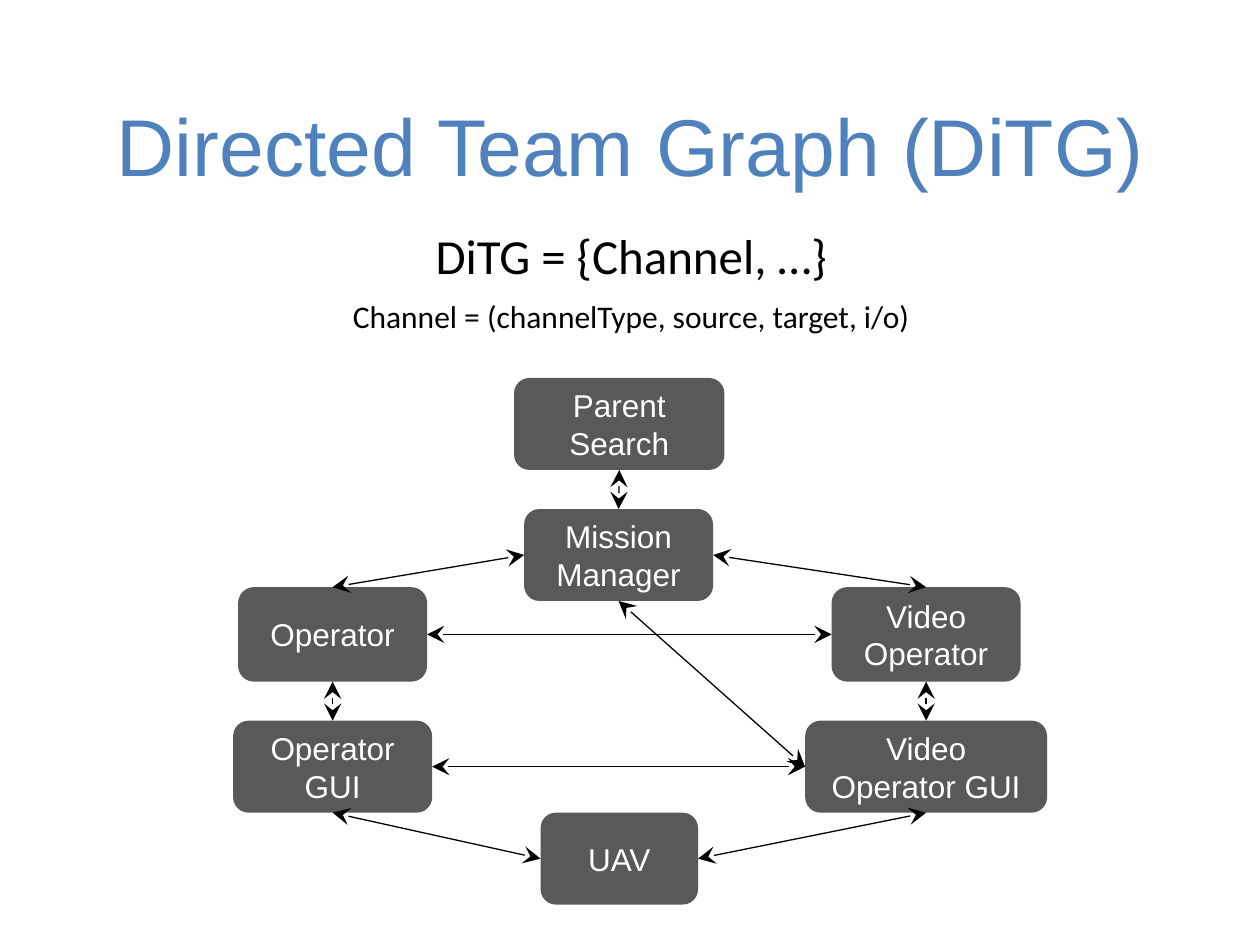
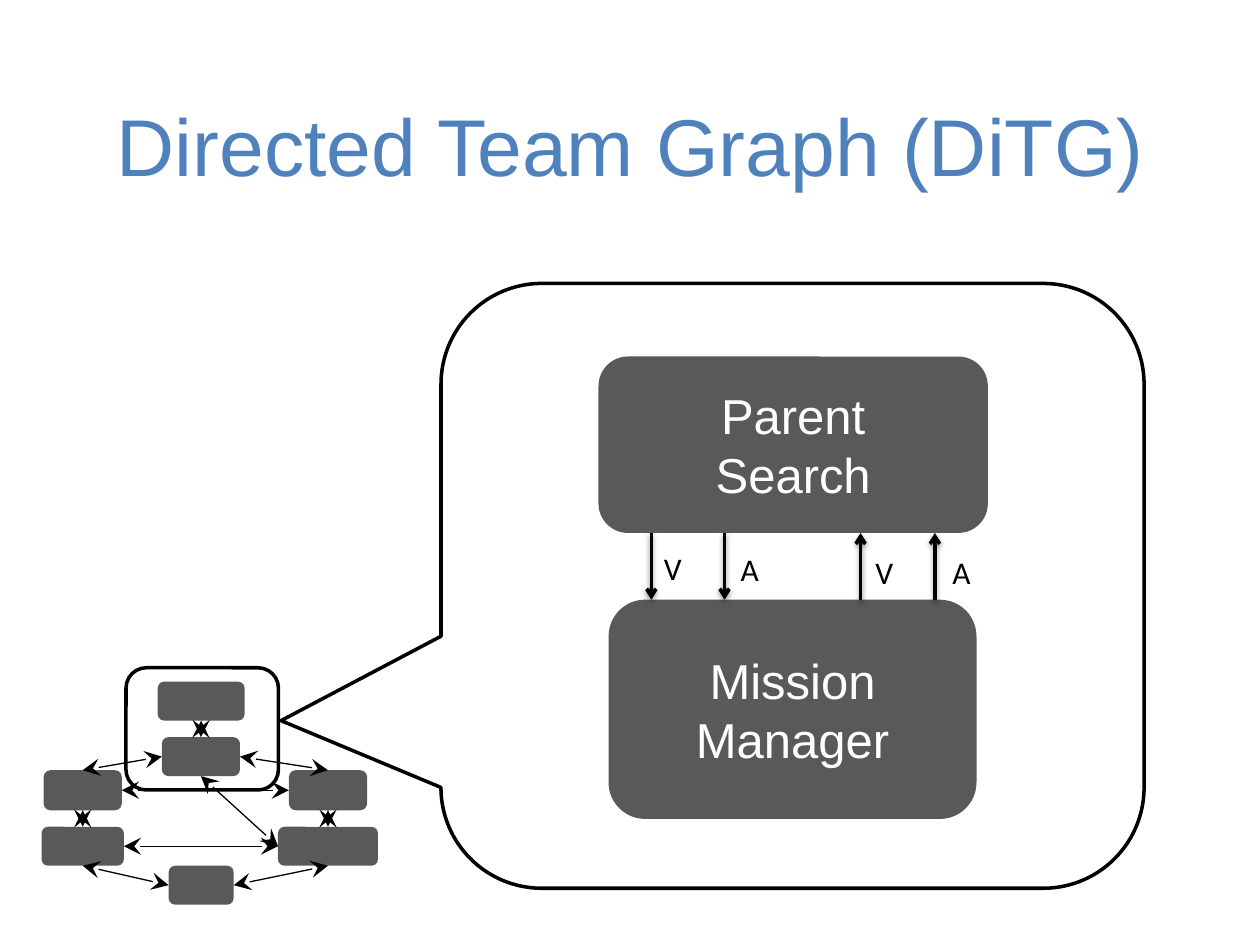
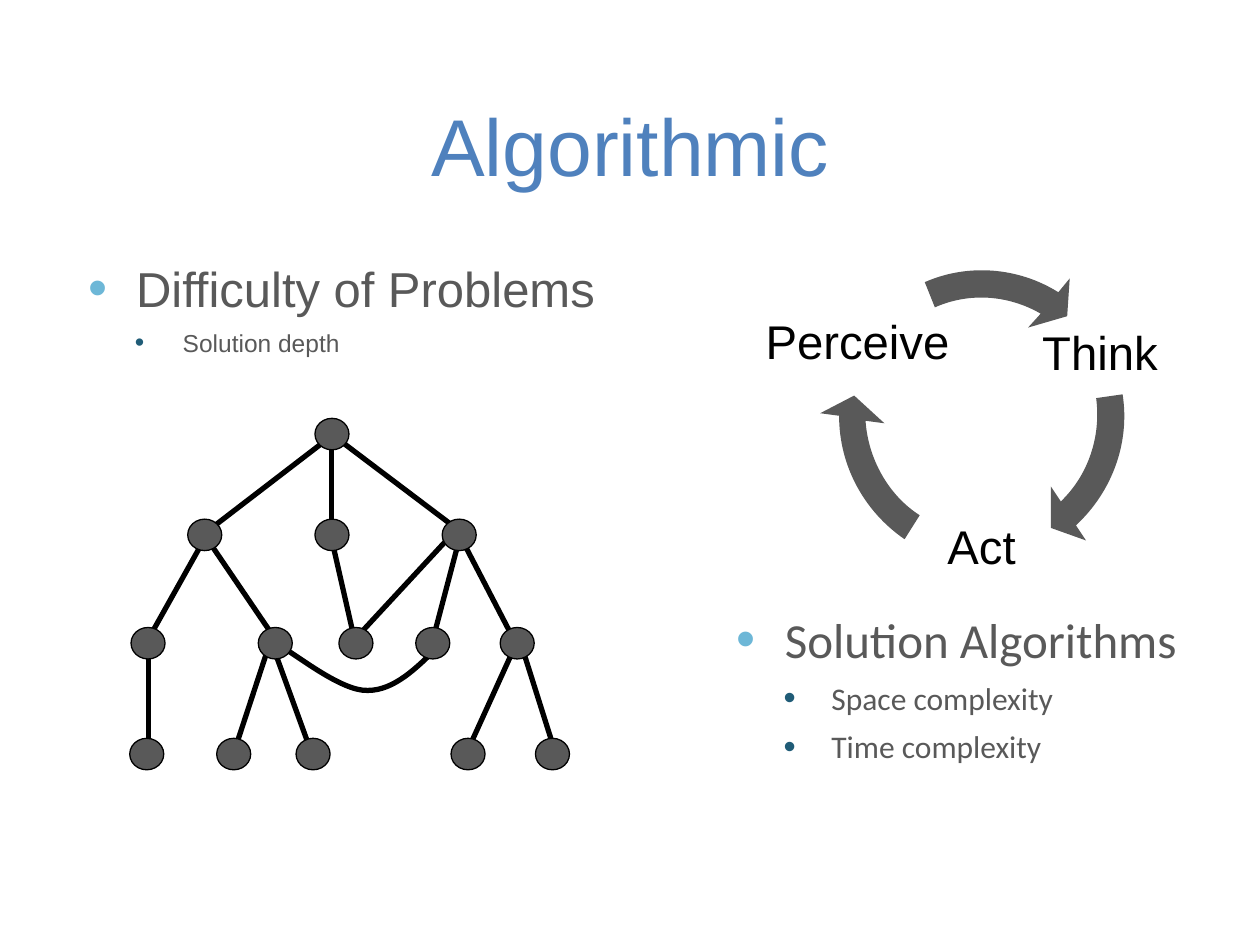
import lxml.etree
import pptx
import pptx.dml.color
import pptx.enum.shapes
import pptx.enum.text
import pptx.oxml.ns
import pptx.util

COLUMNS, ROWS = 10, 7.5
CELL = pptx.util.Inches(1)
BLUE, GREY, BLACK, WHITE = "4F81BD", "595959", "000000", "FFFFFF"
BULLETS = [("6DB7D7", 111, 0.38, 0), ("205C77", 110, 0.75, 6)]
TOP, LEFT, BOTTOM, RIGHT = range(4)
SHAPE = pptx.enum.shapes.MSO_SHAPE
ALIGN = pptx.enum.text.PP_ALIGN
ANCHOR = pptx.enum.text.MSO_ANCHOR

TEAM_FRAME = (1.85, 3, 6.46, 4.18)
TEAM = {
    "Parent Search": (4.08, 3, 1.67, 0.73),
    "Mission Manager": (4.16, 4.04, 1.5, 0.73),
    "Operator": (1.89, 4.66, 1.5, 0.75),
    "Video Operator": (6.6, 4.66, 1.5, 0.75),
    "Video Operator GUI": (6.39, 5.72, 1.92, 0.73),
    "Operator GUI": (1.85, 5.72, 1.58, 0.73),
    "UAV": (4.29, 6.45, 1.25, 0.73),
}
CHANNELS = [
    ("Parent Search", BOTTOM, "Mission Manager", TOP),
    ("Mission Manager", LEFT, "Operator", TOP),
    ("Mission Manager", RIGHT, "Video Operator", TOP),
    ("Operator", BOTTOM, "Operator GUI", TOP),
    ("Video Operator", BOTTOM, "Video Operator GUI", TOP),
    ("Operator GUI", BOTTOM, "UAV", LEFT),
    ("Video Operator GUI", BOTTOM, "UAV", RIGHT),
    ("Operator GUI", RIGHT, "Video Operator GUI", LEFT),
    ("Operator", RIGHT, "Video Operator", LEFT),
    ("Mission Manager", BOTTOM, "Video Operator GUI", LEFT),
]
TREE_LEVELS = [
    (3.32, [2.5]),
    (4.12, [2.5, 3.51, 1.49]),
    (4.98, [2.05, 3.3, 1.04, 2.69, 3.97]),
    (5.86, [1.72, 3.58, 1.03, 2.35, 4.25]),
]
TREE_EDGES = [
    (2.54, 3.53, 1.68, 4.19), (1.61, 4.3, 1.19, 5.05), (2.63, 3.51, 2.63, 4.19),
    (2.69, 3.49, 3.67, 4.23), (1.68, 4.33, 2.19, 5.08), (3.67, 4.29, 4.07, 5.06),
    (2.63, 4.27, 2.81, 5.06), (3.64, 4.3, 3.44, 5.06), (3.57, 4.26, 2.82, 5.07),
    (1.18, 5.22, 1.18, 5.9), (2.12, 5.17, 1.86, 5.96), (2.18, 5.17, 2.46, 5.94),
    (4.06, 5.19, 3.71, 5.96), (4.16, 5.19, 4.4, 5.95),
]
TREE_LINK = [((3.49, 5.12),), ((3.31, 5.3), (3.13, 5.48), (2.92, 5.48)),
             ((2.72, 5.49), (2.37, 5.21), (2.26, 5.15))]
CYCLE = [
    ("Think", (8.17, 2.49, 1.12, 0.65), (6.43, 1.98, 2.64, 2.64),
     [((8.91, 3.13),), ((8.97, 3.51), (8.83, 3.9), (8.54, 4.17)), ((8.62, 4.29),),
      ((8.34, 4.19),), ((8.34, 3.86),), ((8.42, 3.98),),
      ((8.64, 3.77), (8.74, 3.46), (8.7, 3.16))]),
    ("Act", (7.23, 3.8, 1.12, 1.12), (6.51, 1.98, 2.64, 2.64),
     [((7.18, 4.28),), ((6.86, 4.06), (6.66, 3.7), (6.66, 3.3)), ((6.51, 3.28),),
      ((6.78, 3.14),), ((7.02, 3.36),), ((6.87, 3.34),),
      ((6.89, 3.64), (7.05, 3.93), (7.3, 4.09))]),
    ("Perceive", (5.95, 2.32, 1.71, 0.82), (6.47, 2, 2.64, 2.64),
     [((7.34, 2.24),), ((7.68, 2.09), (8.08, 2.12), (8.4, 2.32)), ((8.49, 2.21),),
      ((8.47, 2.51),), ((8.16, 2.6),), ((8.26, 2.49),),
      ((8, 2.34), (7.69, 2.32), (7.42, 2.44))]),
]


def cells(*counts):
    """Turn counts of grid cells into lengths."""
    return [round(count * CELL) for count in counts]


def color(text):
    """Return the colour for a hex string."""
    return pptx.dml.color.RGBColor.from_string(text)


def add_xml(parent, tag, **attributes):
    """Append a drawing element with the given attributes."""
    values = {name: str(value) for name, value in attributes.items()}
    return lxml.etree.SubElement(parent, pptx.oxml.ns.qn(tag), values)


def add_run(para, text, size, ink, font="Arial"):
    """Append one formatted run to a paragraph."""
    span = para.add_run()
    span.text = text
    span.font.size = pptx.util.Pt(size)
    span.font.name = font
    span.font.color.rgb = color(ink)


def write(frame, lines, size, ink, font="Arial", align=ALIGN.CENTER, anchor=ANCHOR.MIDDLE):
    """Fill a text frame with paragraphs of one style."""
    frame.word_wrap = True
    frame.auto_size = pptx.enum.text.MSO_AUTO_SIZE.NONE
    frame.vertical_anchor = anchor
    for index, line in enumerate(lines):
        para = frame.add_paragraph() if index else frame.paragraphs[0]
        para.alignment = align
        add_run(para, line, size, ink, font)


def write_bullets(frame, items, font):
    """Fill a text frame with (level, text, size) bullet items."""
    frame.word_wrap = True
    frame.auto_size = pptx.enum.text.MSO_AUTO_SIZE.NONE
    for index, (level, text, size) in enumerate(items):
        para = frame.add_paragraph() if index else frame.paragraphs[0]
        ink, percent, indent, before = BULLETS[level]
        para.level = level
        para.space_before = pptx.util.Pt(before)
        properties = para._p.get_or_add_pPr()
        margin, hanging = cells(indent, -0.38)
        properties.set("marL", str(margin))
        properties.set("indent", str(hanging))
        add_xml(add_xml(properties, "a:buClr"), "a:srgbClr", val=ink)
        add_xml(properties, "a:buSzPct", val=percent * 1000)
        add_xml(properties, "a:buFont", typeface="Arial")
        add_xml(properties, "a:buChar", char="•")
        add_run(para, text, size, GREY, font)


def move(item, place):
    """Place an item on the grid."""
    item.left, item.top, item.width, item.height = cells(*place)


def add_page(deck, title, layout=5):
    """Add a slide with the shared title style."""
    page = deck.slides.add_slide(deck.slide_layouts[layout])
    move(page.shapes.title, (0.6, 0.12, 8.8, 1.46))
    write(page.shapes.title.text_frame, [title], 46, BLUE, anchor=ANCHOR.BOTTOM)
    return page


def paint(shape, fill=None, line=None, width=0.75):
    """Set a shape's fill and outline, without a shadow."""
    shape.shadow.inherit = False
    if fill:
        shape.fill.solid()
        shape.fill.fore_color.rgb = color(fill)
    else:
        shape.fill.background()
    if line:
        shape.line.color.rgb = color(line)
        shape.line.width = pptx.util.Pt(width)
    else:
        shape.line.fill.background()


def add_box(shapes, kind, place, fill=GREY, line=None, width=0.75):
    """Add a preset shape."""
    box = shapes.add_shape(kind, *cells(*place))
    paint(box, fill, line, width)
    return box


def add_label(shapes, place, text, size, font="Calibri", align=ALIGN.CENTER, anchor=ANCHOR.TOP):
    """Add a one-line text box."""
    label = shapes.add_textbox(*cells(*place))
    write(label.text_frame, [text], size, BLACK, font, align, anchor)
    return label


def add_line(shapes, start, end, width, head=None, tail=None, size="med", shadow=False):
    """Add a straight black line with optional arrowheads and shadow."""
    line = shapes.add_connector(pptx.enum.shapes.MSO_CONNECTOR.STRAIGHT, *start, *end)
    line.line.color.rgb = color(BLACK)
    line.line.width = pptx.util.Pt(width)
    properties = line._element.spPr
    outline = properties.find(pptx.oxml.ns.qn("a:ln"))
    for tag, kind in (("a:headEnd", head), ("a:tailEnd", tail)):
        if kind:
            add_xml(outline, tag, type=kind, w=size, len=size)
    effects = add_xml(properties, "a:effectLst")
    if shadow:
        cast = add_xml(effects, "a:outerShdw", blurRad=pptx.util.Pt(3.1),
                       dist=pptx.util.Pt(1.6), dir=5400000, rotWithShape=0)
        add_xml(add_xml(cast, "a:srgbClr", val=BLACK), "a:alpha", val=38000)
    return line


def add_outline(shapes, place, steps, closed, **style):
    """Add a freeform whose steps are line ends or Bézier control triples."""
    builder = shapes.build_freeform(*cells(*steps[0][0]))
    builder.add_line_segments([cells(*step[-1]) for step in steps[1:]], close=closed)
    shape = builder.convert_to_shape()
    move(shape, place)
    paint(shape, **style)
    route = next(shape._element.iter(pptx.oxml.ns.qn("a:path")))
    route.set("w", str(shape.width))
    route.set("h", str(shape.height))
    for child in list(route):
        route.remove(child)
    for index, step in enumerate(steps):
        tag = "a:cubicBezTo" if len(step) > 1 else "a:lnTo"
        segment = add_xml(route, tag if index else "a:moveTo")
        for across, down in step:
            x, y = cells(across - place[0], down - place[1])
            add_xml(segment, "a:pt", x=x, y=y)
    if closed:
        add_xml(route, "a:close")


def add_team_graph(shapes, frame=TEAM_FRAME, labelled=True):
    """Draw the team boxes and their two-way channels fitted to a frame."""
    across, down = frame[2] / TEAM_FRAME[2], frame[3] / TEAM_FRAME[3]
    boxes = {}
    for name, (left, top, width, height) in TEAM.items():
        place = (frame[0] + (left - TEAM_FRAME[0]) * across,
                 frame[1] + (top - TEAM_FRAME[1]) * down, width * across, height * down)
        boxes[name] = add_box(shapes, SHAPE.ROUNDED_RECTANGLE, place)
        if labelled:
            write(boxes[name].text_frame, [name], 18, WHITE)
    for source, source_side, target, target_side in CHANNELS:
        first, second = boxes[source], boxes[target]
        line = add_line(shapes, (first.left, first.top), (second.left, second.top),
                        0.75, "stealth", "stealth", "lg")
        line.begin_connect(first, source_side)
        line.end_connect(second, target_side)


def add_tree(shapes):
    """Draw the search tree with its edges behind the nodes."""
    for left, top, right, bottom in TREE_EDGES:
        add_line(shapes, cells(left, top), cells(right, bottom), 3)
    add_outline(shapes, (2.26, 5.12, 1.23, 0.37), TREE_LINK, False, line=BLACK, width=3)
    for top, lefts in TREE_LEVELS:
        for left in lefts:
            add_box(shapes, SHAPE.OVAL, (left, top, 0.27, 0.25), line=BLACK)


def add_cycle(shapes):
    """Draw the perceive, think, act cycle."""
    for text, place, arrow_place, steps in CYCLE:
        label = add_label(shapes, place, text, 27, "Arial", anchor=ANCHOR.MIDDLE)
        frame = label.text_frame
        inset, = cells(0.04)
        frame.margin_left = frame.margin_right = frame.margin_top = frame.margin_bottom = inset
        frame.paragraphs[0].line_spacing = 0.9
        frame.paragraphs[0].space_after = pptx.util.Pt(9.4)
        add_outline(shapes, arrow_place, steps, True, fill=GREY)


def build_graph_page(deck):
    """Build the slide with the whole team graph."""
    page = add_page(deck, "Directed Team Graph (DiTG)")
    add_team_graph(page.shapes)
    for text, top, height, size in (
            ("Channel = (channelType, source, target, i/o)", 2.31, 0.34, 18),
            ("DiTG = {Channel, …}", 1.74, 0.57, 28)):
        add_label(page.shapes, (0.01, top, COLUMNS, height), text, size)


def build_detail_page(deck):
    """Build the slide that enlarges one pair of the team graph."""
    page = add_page(deck, "Directed Team Graph (DiTG)")
    add_box(page.shapes, SHAPE.ROUNDED_RECTANGLE, (1, 5.3, 1.21, 0.97), WHITE, BLACK, 2)
    left, top, width, height = 3.5, 2.25, 5.58, 4.8
    callout = add_box(page.shapes, SHAPE.ROUNDED_RECTANGULAR_CALLOUT,
                      (left, top, width, height), WHITE, BLACK, 2)
    tip = (2.23, 5.72)
    callout.adjustments[0] = (tip[0] - left) / width - 0.5
    callout.adjustments[1] = (tip[1] - top) / height - 0.5
    callout.adjustments[2] = 1 / 6
    for words, place in ((["Parent", "Search"], (4.75, 2.83, 3.09, 1.4)),
                         (["Mission", "Manager"], (4.83, 4.76, 2.92, 1.74))):
        box = add_box(page.shapes, SHAPE.ROUNDED_RECTANGLE, place)
        write(box.text_frame, words, 28, WHITE)
    add_team_graph(page.shapes.add_group_shape().shapes, (0.33, 5.41, 2.67, 1.77), False)
    upper, lower = 4.23, 4.76
    for column, start, end in ((5.17, upper, lower), (5.75, upper, lower),
                               (6.83, lower, upper), (7.42, lower, upper)):
        add_line(page.shapes, cells(column, start), cells(column, end), 2,
                 tail="arrow", shadow=True)
    for text, left, top in (("V", 5.17, 4.31), ("V", 6.85, 4.34),
                            ("A", 5.78, 4.32), ("A", 7.46, 4.34)):
        add_label(page.shapes, (left, top, 0.33, 0.34), text, 18, align=ALIGN.LEFT)


def build_algorithm_page(deck):
    """Build the slide with the search tree and the agent cycle."""
    page = add_page(deck, "Algorithmic", layout=1)
    body = page.placeholders[1]
    move(body, (0.6, 2, 4.56, 0.98))
    write_bullets(body.text_frame, [(0, "Difficulty of Problems", 28),
                                    (1, "Solution depth", 14)], "Arial")
    add_tree(page.shapes)
    add_cycle(page.shapes.add_group_shape().shapes)
    solutions = page.shapes.add_textbox(*cells(5.75, 4.79, 3.98, 1.45))
    write_bullets(solutions.text_frame, [(0, "Solution Algorithms", 28),
                                         (1, "Space complexity", 18),
                                         (1, "Time complexity", 18)], "Calibri")


def main():
    """Build and save the deck."""
    deck = pptx.Presentation()
    deck.slide_width, deck.slide_height = cells(COLUMNS, ROWS)
    build_graph_page(deck)
    build_detail_page(deck)
    build_algorithm_page(deck)
    deck.save("out.pptx")


if __name__ == "__main__":
    main()
